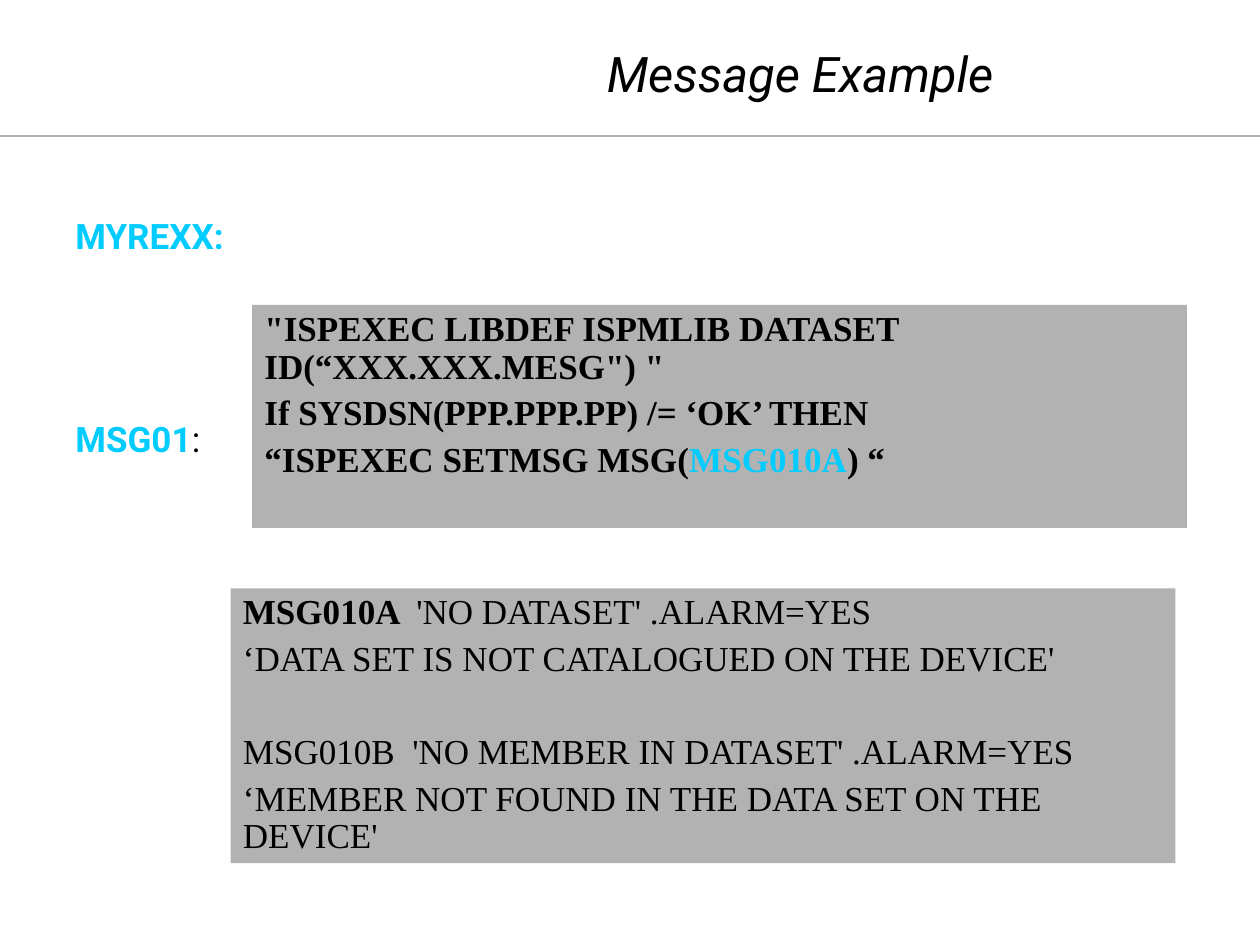
from lxml.etree import SubElement
from pptx import Presentation
from pptx.dml.color import RGBColor
from pptx.enum.shapes import MSO_CONNECTOR, MSO_SHAPE
from pptx.enum.text import MSO_ANCHOR, PP_ALIGN
from pptx.oxml.ns import qn
from pptx.util import Inches, Pt

WIDTH, HEIGHT = 10, 7.5
BLACK, CYAN, GRAY = "000000", "00CCFF", "B2B2B2"
SANS, SERIF = "Roboto", "Times New Roman"
GAP, WIDE_GAP, LABEL_GAP = 5, 31.6, 92  # points before a paragraph

# Each paragraph: space before, then spans of (text, colour, bold)
TITLE = [(0, [("Message Example", BLACK, False)])]
LABELS = [
    (0, [("MYREXX:", CYAN, True)]),
    (LABEL_GAP, [("MSG01", CYAN, True), (":", BLACK, False)]),
]
REXX_CODE = [
    (0, [('"ISPEXEC LIBDEF ISPMLIB DATASET ID(“XXX.XXX.MESG") "', BLACK, True)]),
    (GAP, [("If SYSDSN(PPP.PPP.PP) /= ‘OK’ THEN", BLACK, True)]),
    (GAP, [("“ISPEXEC SETMSG MSG(", BLACK, True), ("MSG010A", CYAN, True),
           (") “", BLACK, True)]),
]
MESSAGES = [
    (0, [("MSG010A ", BLACK, True), (" 'NO DATASET' .ALARM=YES", BLACK, False)]),
    (GAP, [("‘DATA SET IS NOT CATALOGUED ON THE DEVICE'", BLACK, False)]),
    (WIDE_GAP, [("MSG010B  'NO MEMBER IN DATASET' .ALARM=YES", BLACK, False)]),
    (GAP, [("‘MEMBER NOT FOUND IN THE DATA SET ON THE DEVICE'", BLACK, False)]),
]
PANELS = [((2, 2.42, 7.42, 1.77), REXX_CODE), ((1.83, 4.67, 7.5, 2.18), MESSAGES)]


def color(value):
    return RGBColor.from_string(value)


def write(box, paragraphs, font, size=20, italic=False, align=PP_ALIGN.LEFT,
          spacing=1.0, anchor=MSO_ANCHOR.TOP):
    frame = box.text_frame
    frame.word_wrap = True
    frame.vertical_anchor = anchor
    for index, (before, spans) in enumerate(paragraphs):
        para = frame.add_paragraph() if index else frame.paragraphs[0]
        para.alignment = align
        para.line_spacing = spacing
        para.space_before = Pt(before)
        para.font.name = font
        para.font.size = Pt(size)
        para.font.italic = italic
        for text, shade, bold in spans:
            span = para.add_run()
            span.text = text
            span.font.bold = bold
            span.font.color.rgb = color(shade)


def add_text(page, place, paragraphs, **style):
    box = page.shapes.add_textbox(*map(Inches, place))
    write(box, paragraphs, SANS, **style)


def add_panel(page, place, paragraphs):
    panel = page.shapes.add_shape(MSO_SHAPE.RECTANGLE, *map(Inches, place))
    panel.shadow.inherit = False
    panel.fill.solid()
    panel.fill.fore_color.rgb = color(GRAY)
    panel.line.fill.background()
    write(panel, paragraphs, SERIF, spacing=0.9)


def add_rule(page, top):
    rule = page.shapes.add_connector(
        MSO_CONNECTOR.STRAIGHT, 0, Inches(top), Inches(WIDTH), Inches(top))
    rule.line.color.rgb = color(GRAY)
    rule.line.width = Pt(1)
    SubElement(rule._element.spPr, qn("a:effectLst"))


def main():
    deck = Presentation()
    deck.slide_width, deck.slide_height = Inches(WIDTH), Inches(HEIGHT)
    page = deck.slides.add_slide(deck.slide_layouts[6])
    add_rule(page, 1.08)
    add_text(page, (2.95, 0.16, 6.8, 0.84), TITLE, size=28, italic=True,
             align=PP_ALIGN.CENTER, anchor=MSO_ANCHOR.MIDDLE)
    add_text(page, (0.5, 1.65, 9, 4.95), LABELS)
    for place, paragraphs in PANELS:
        add_panel(page, place, paragraphs)
    deck.save("out.pptx")


if __name__ == "__main__":
    main()
